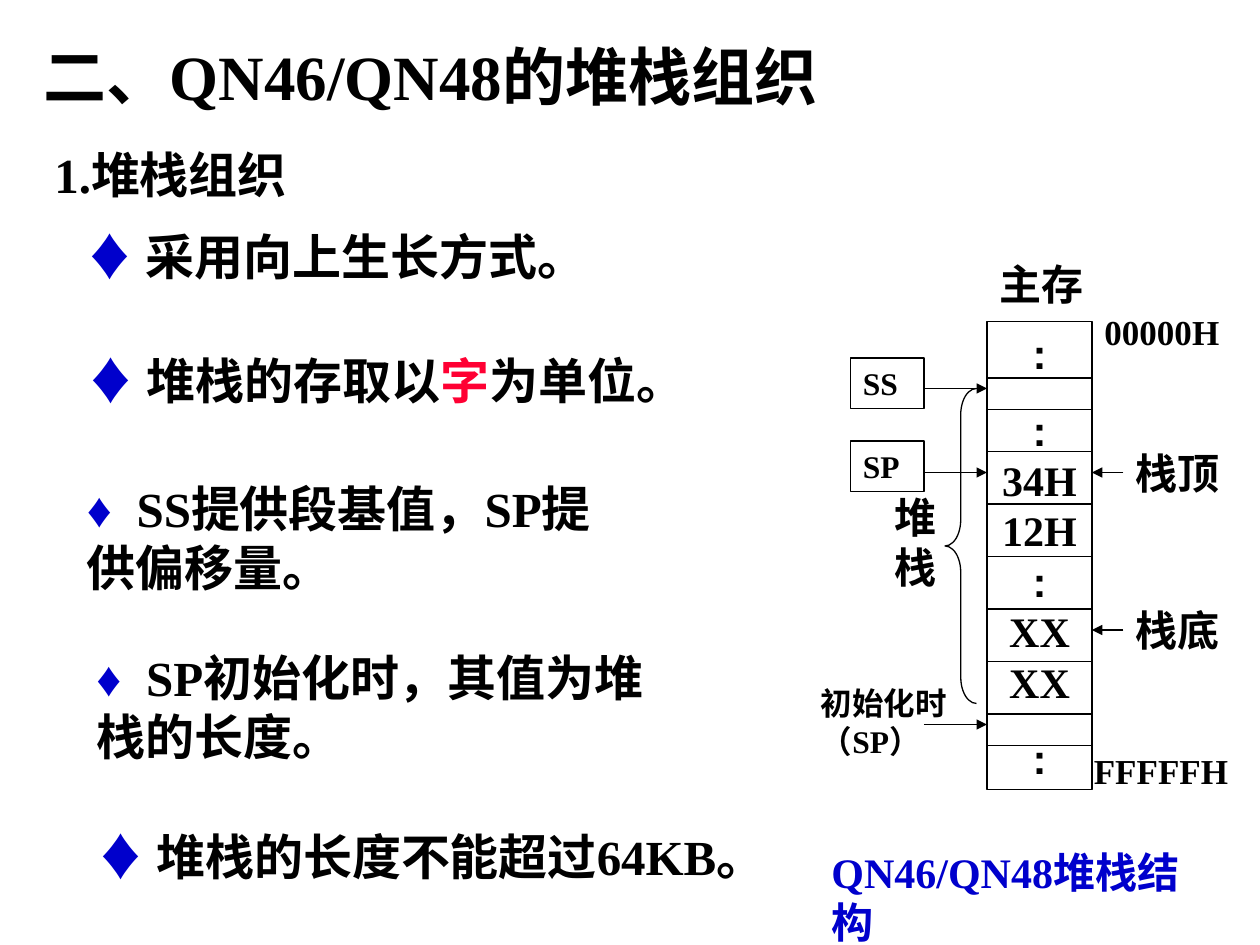
from typing import NamedTuple

from lxml import etree
from pptx import Presentation
from pptx import util as u
from pptx.dml.color import RGBColor
from pptx.enum import shapes, text
from pptx.oxml.ns import qn

EMU_PER_PX = 914400 // 120
BLACK = RGBColor(0x00, 0x00, 0x00)
BLUE = RGBColor(0x00, 0x00, 0xCC)
RED = RGBColor(0xFF, 0x00, 0x33)
SERIF = "Times New Roman"
SANS = "Arial"
LINE_WIDTH = u.Pt(0.75)
PROCESSOR = "QN46/QN48"


class Run(NamedTuple):
    words: str
    color: RGBColor = BLACK
    font: str = SERIF
    spacing: int = 0


class Label(NamedTuple):
    left: int
    top: int
    width: int
    height: int
    size: int
    runs: list[Run]


class Register(NamedTuple):
    name: str
    top: int


class Pointer(NamedTuple):
    start: int
    end: int
    y: int


MEMORY_LEFT, MEMORY_RIGHT = 940, 1040
MEMORY_TOP, MEMORY_HEIGHT = 306, 446
CELL_EDGES = [360, 390, 430, 480, 530, 580, 630, 680, 710]
DOTS = Run(":", font=SANS)
MEMORY_CONTENT = [
    [DOTS],
    [DOTS, Run(" 34H12H "), DOTS, Run(" XXXX")],
    [DOTS],
]

DIAMOND = Run("♦ ", BLUE, SANS)
WIDE_DIAMOND = DIAMOND._replace(spacing=320)

HEADINGS = [
    Label(30, 30, 1010, 84, 36, [Run(f"二、{PROCESSOR}的堆栈组织")]),
    Label(40, 132, 660, 68, 28, [Run("1.堆栈组织")]),
]
POINTS = [
    Label(70, 210, 750, 68, 28, [DIAMOND, Run("采用向上生长方式。")]),
    Label(71, 328, 596, 68, 28,
          [DIAMOND, Run("堆栈的存取以"), Run("字", RED), Run("为单位。")]),
    Label(71, 450, 540, 125, 28,
          [WIDE_DIAMOND, Run("SS提供段基值，SP提供偏移量。")]),
    Label(80, 611, 560, 125, 28,
          [WIDE_DIAMOND, Run("SP初始化时，其值为堆栈的长度。")]),
    Label(80, 781, 750, 68, 28, [DIAMOND, Run("堆栈的长度不能超过64KB。")]),
]
DIAGRAM_LABELS = [
    Label(940, 240, 140, 60, 24, [Run("主存")]),
    Label(1040, 290, 150, 53, 20, [Run("00000H")]),
    Label(1030, 708, 170, 53, 20, [Run("FFFFFH")]),
    Label(1070, 420, 130, 60, 24, [Run("栈顶")]),
    Label(1070, 570, 130, 60, 24, [Run("栈底")]),
    Label(840, 462, 60, 108, 24, [Run("堆栈")]),
    Label(770, 646, 180, 84, 18, [Run("初始化时（SP）")]),
    Label(780, 800, 390, 60, 24, [Run(f"{PROCESSOR}堆栈结构", BLUE)]),
]
REGISTERS = [Register("SS", 341), Register("SP", 420)]
REGISTER_LEFT, REGISTER_WIDTH, REGISTER_HEIGHT = 810, 70, 48
REGISTER_RIGHT = REGISTER_LEFT + REGISTER_WIDTH
POINTERS = [Pointer(REGISTER_RIGHT, MEMORY_LEFT, y) for y in (370, 450, 690)]
POINTERS += [Pointer(1070, MEMORY_RIGHT, y) for y in (450, 600)]


def px(*lengths: int) -> list[u.Emu]:
    return [u.Emu(length * EMU_PER_PX) for length in lengths]


def write(frame, paragraphs: list[list[Run]], size: int, align) -> None:
    frame.word_wrap = True
    frame.vertical_anchor = text.MSO_ANCHOR.TOP
    for index, runs in enumerate(paragraphs):
        paragraph = frame.add_paragraph() if index else frame.paragraphs[0]
        paragraph.alignment = align
        paragraph.space_before = u.Pt(size * 0.625)
        for part in runs:
            run = paragraph.add_run()
            run.text = part.words
            run.font.name = part.font
            run.font.size = u.Pt(size)
            run.font.bold = True
            run.font.color.rgb = part.color
            if part.spacing:
                run.font._element.set("spc", str(part.spacing))


def draw_label(slide, label: Label) -> None:
    box = slide.shapes.add_textbox(*px(*label[:4]))
    write(box.text_frame, [label.runs], label.size, text.PP_ALIGN.LEFT)


def draw_outline(slide, kind, *bounds: int):
    outline = slide.shapes.add_shape(kind, *px(*bounds))
    outline.shadow.inherit = False
    outline.fill.background()
    outline.line.color.rgb = BLACK
    outline.line.width = LINE_WIDTH
    return outline


def draw_line(slide, start: int, end: int, y: int, arrow: bool = False) -> None:
    line = slide.shapes.add_connector(shapes.MSO_CONNECTOR.STRAIGHT, *px(start, y, end, y))
    line.line.color.rgb = BLACK
    line.line.width = LINE_WIDTH
    properties = line._element.spPr
    if arrow:
        etree.SubElement(properties.find(qn("a:ln")), qn("a:tailEnd"), type="triangle")
    etree.SubElement(properties, qn("a:effectLst"))


def draw_memory(slide) -> None:
    memory = draw_outline(slide, shapes.MSO_SHAPE.RECTANGLE, MEMORY_LEFT, MEMORY_TOP,
                          MEMORY_RIGHT - MEMORY_LEFT, MEMORY_HEIGHT)
    write(memory.text_frame, MEMORY_CONTENT, 24, text.PP_ALIGN.CENTER)
    for edge in CELL_EDGES:
        draw_line(slide, MEMORY_LEFT, MEMORY_RIGHT, edge)


def draw_register(slide, register: Register) -> None:
    box = draw_outline(slide, shapes.MSO_SHAPE.RECTANGLE, REGISTER_LEFT, register.top,
                       REGISTER_WIDTH, REGISTER_HEIGHT)
    write(box.text_frame, [[Run(register.name)]], 18, text.PP_ALIGN.LEFT)


def main() -> None:
    deck = Presentation()
    deck.slide_width, deck.slide_height = px(1200, 900)
    slide = deck.slides.add_slide(deck.slide_layouts[6])

    draw_memory(slide)
    stack_brace = draw_outline(slide, shapes.MSO_SHAPE.LEFT_BRACE, 900, 370, 30, 300)
    stack_brace.adjustments[0] = 0.83
    for pointer in POINTERS:
        draw_line(slide, *pointer, arrow=True)
    for register in REGISTERS:
        draw_register(slide, register)
    for label in HEADINGS + POINTS + DIAGRAM_LABELS:
        draw_label(slide, label)

    deck.save("out.pptx")


if __name__ == "__main__":
    main()
